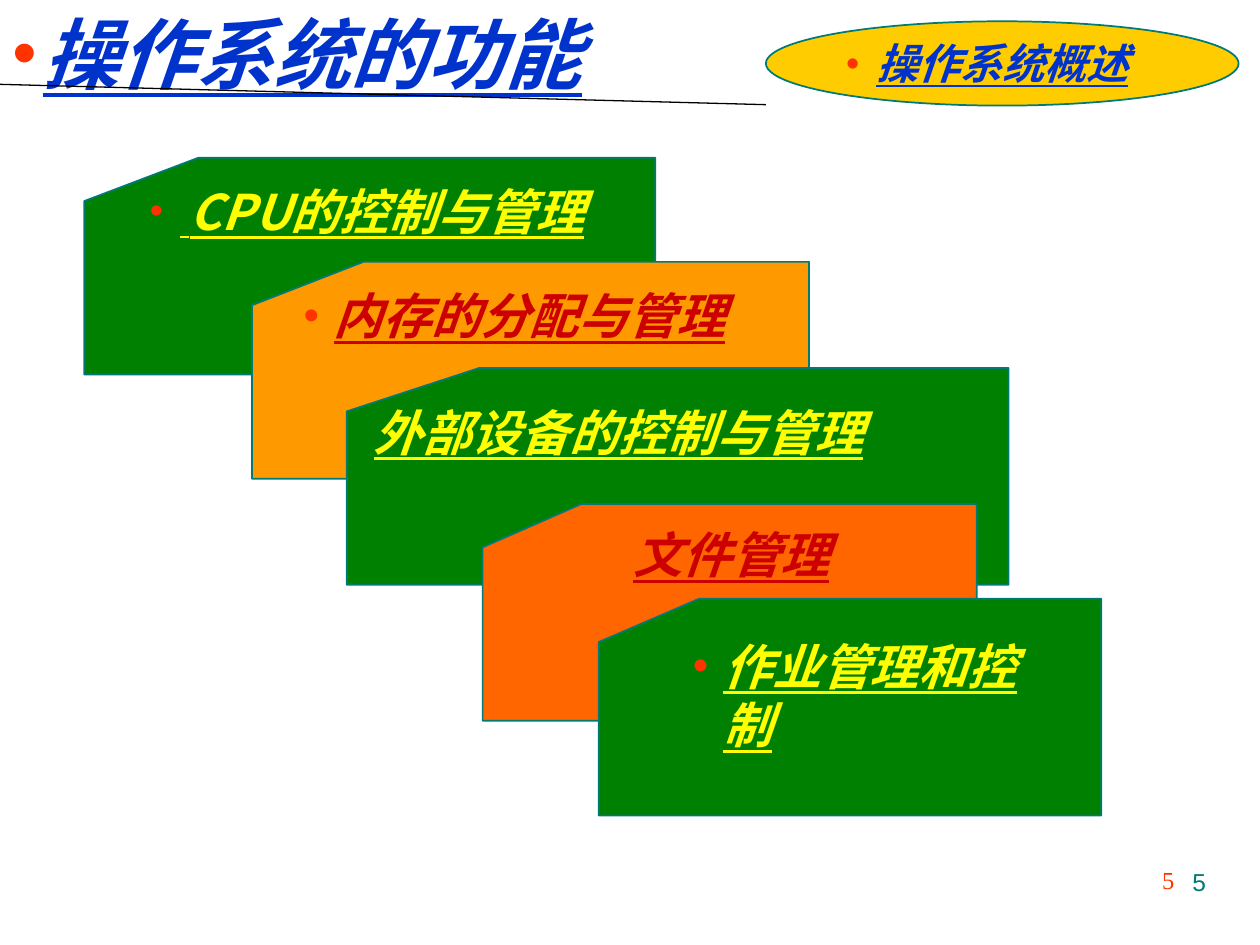
"""Build the slide on the functions of an operating system."""
from lxml import etree
from pptx import Presentation
from pptx.dml.color import RGBColor
from pptx.enum import shapes, text
from pptx.oxml import ns
from pptx.util import Cm, Pt

TEAL = RGBColor(0x00, 0x7A, 0x77)
GREEN = RGBColor(0x00, 0x80, 0x00)
AMBER = RGBColor(0xFF, 0x99, 0x00)
ORANGE = RGBColor(0xFF, 0x66, 0x00)
GOLD = RGBColor(0xFF, 0xCC, 0x00)
YELLOW = RGBColor(0xFF, 0xFF, 0x00)
RED = RGBColor(0xCC, 0x00, 0x00)
BLUE = RGBColor(0x00, 0x33, 0xCC)
BLACK = RGBColor(0x00, 0x00, 0x00)
BULLET_RED = RGBColor(0xFF, 0x33, 0x00)
SERIF, SANS, CJK = "Times New Roman", "Arial", "Noto Sans CJK SC"
CARD_HEIGHT = 4.37
BULLET_INDENT = Cm(0.61)

CARDS = [
    ((1.7, 3.18, 11.51), GREEN, (2.77, 3.53, 10.39), [(" ", 24), ("CPU的控制与管理", 28)], YELLOW, True),
    ((5.08, 5.28, 11.23), AMBER, (5.87, 5.64, 10.19), [("内存的分配与管理", 28)], RED, True),
    ((6.99, 7.42, 13.34), GREEN, (7.29, 7.87, 13.16), [("外部设备的控制与管理", 28)], YELLOW, False),
    ((9.73, 10.16, 9.96), ORANGE, (12.52, 10.34, 4.57), [("文件管理", 28)], RED, False),
    ((12.07, 12.07, 10.13), GREEN, (13.72, 12.7, 7.47), [("作业管理和控制", 28)], YELLOW, True),
]


def add_bullet(paragraph, char="•", font=SANS, percent=90):
    """Give the paragraph a red hanging bullet."""
    properties = paragraph._p.get_or_add_pPr()
    properties.set("marL", str(BULLET_INDENT))
    properties.set("indent", str(-BULLET_INDENT))
    color = etree.SubElement(properties, ns.qn("a:buClr"))
    etree.SubElement(color, ns.qn("a:srgbClr"), val=str(BULLET_RED))
    etree.SubElement(properties, ns.qn("a:buSzPct"), val=str(percent * 1000))
    etree.SubElement(properties, ns.qn("a:buFont"), typeface=font)
    etree.SubElement(properties, ns.qn("a:buChar"), char=char)


def add_text_frame(parent, box):
    """Add a wrapping text box and return its frame."""
    frame = parent.add_textbox(*map(Cm, box)).text_frame
    frame.word_wrap = True
    return frame


def add_heading(parent, box, pieces, font_name, color, bulleted=True):
    """Add a bold, italic, underlined heading made of (words, size) pieces."""
    paragraph = add_text_frame(parent, box).paragraphs[0]
    if bulleted:
        add_bullet(paragraph)
    else:
        paragraph.line_spacing = 1.1
    font = paragraph.font
    font.name, font.color.rgb = font_name, color
    font.bold = font.italic = font.underline = True
    for words, size in pieces:
        run = paragraph.add_run()
        run.text = words
        run.font.size = Pt(size)
        run_properties = run.font._element
        etree.SubElement(run_properties, ns.qn("a:latin"), typeface=font_name)
        etree.SubElement(run_properties, ns.qn("a:ea"), typeface=CJK)


def add_panel(parent, kind, box, fill):
    """Add a filled shape with a thin teal outline."""
    panel = parent.add_shape(kind, *map(Cm, box))
    panel.shadow.inherit = False
    panel.fill.solid()
    panel.fill.fore_color.rgb = fill
    panel.line.color.rgb = TEAL
    panel.line.width = Pt(1)


def add_rule(parent, start, end):
    """Add the thin black line under the title."""
    rule = parent.add_connector(shapes.MSO_CONNECTOR.STRAIGHT, *map(Cm, start + end))
    rule.line.color.rgb = BLACK
    rule.line.width = Pt(0.75)
    etree.SubElement(rule._element.spPr, ns.qn("a:effectLst"))


def add_page_number(parent, box, number):
    """Add the right-aligned page number with its red marker."""
    paragraph = add_text_frame(parent, box).paragraphs[0]
    paragraph.text = number
    paragraph.alignment = text.PP_ALIGN.RIGHT
    add_bullet(paragraph, number, SERIF, 100)
    font = paragraph.font
    font.name, font.size, font.color.rgb = SANS, Pt(14), TEAL


def main():
    """Build and save the slide."""
    deck = Presentation()
    deck.slide_width, deck.slide_height = Cm(25.4), Cm(19.05)
    slide = deck.slides.add_slide(deck.slide_layouts[6])
    canvas = slide.shapes

    add_heading(canvas, (0, 0, 13.21, 2.11), [("操作系统的功能", 44)], SERIF, BLUE)
    add_rule(canvas, (0, 1.7), (15.44, 2.11))
    for card, fill, label, pieces, color, bulleted in CARDS:
        group = canvas.add_group_shape().shapes
        add_panel(group, shapes.MSO_SHAPE.FLOWCHART_CARD, card + (CARD_HEIGHT,), fill)
        add_heading(group, label + (1.45,), pieces, CJK, color, bulleted)
    chapter = canvas.add_group_shape().shapes
    add_panel(chapter, shapes.MSO_SHAPE.OVAL, (15.44, 0.43, 9.53, 1.7), GOLD)
    add_heading(chapter, (16.81, 0.64, 7.26, 1.27), [("操作系统概述", 24)], SERIF, BLUE)
    add_page_number(canvas, (18.21, 17.35, 6.35, 1.32), "5")

    deck.save("out.pptx")


if __name__ == "__main__":
    main()
